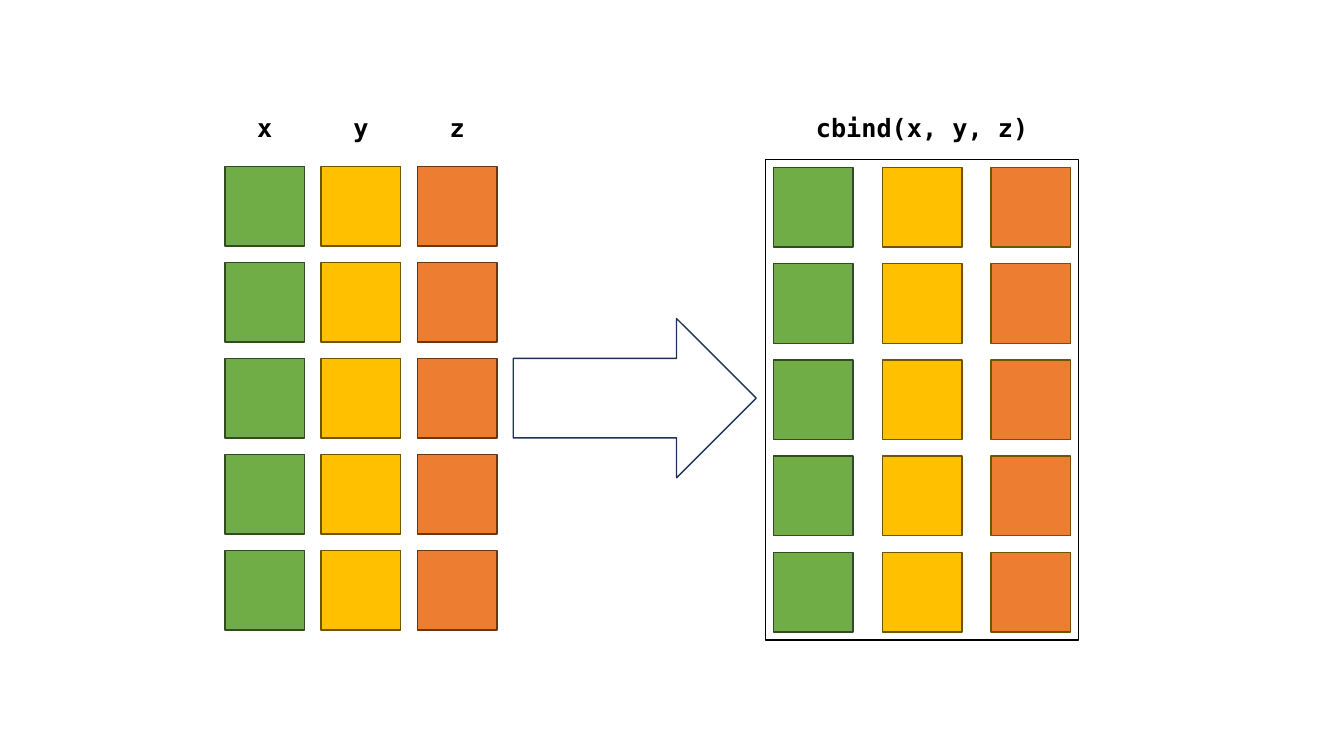
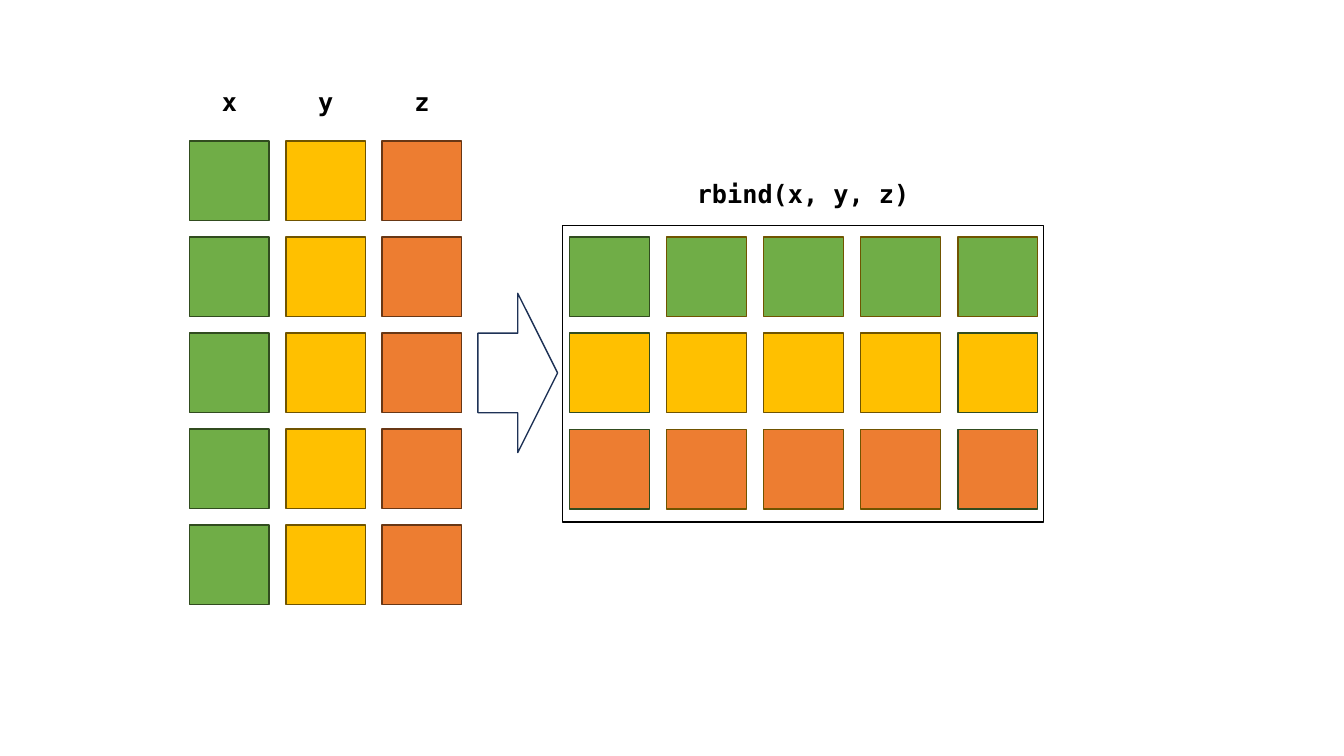
from dataclasses import dataclass

from pptx import Presentation
from pptx.dml.color import RGBColor
from pptx.enum.shapes import MSO_SHAPE as Shape
from pptx.enum.text import MSO_ANCHOR as Anchor, PP_ALIGN as Align
from pptx.slide import Slide
from pptx.util import Inches, Pt

# Shared style
GREEN, GREEN_EDGE = RGBColor(0x70, 0xAD, 0x47), RGBColor(0x31, 0x4C, 0x1F)
GOLD, GOLD_EDGE = RGBColor(0xFF, 0xC0, 0x00), RGBColor(0x70, 0x54, 0x00)
ORANGE, ORANGE_EDGE = RGBColor(0xED, 0x7D, 0x31), RGBColor(0x68, 0x37, 0x15)
NAVY = RGBColor(0x1E, 0x32, 0x56)
BLACK = RGBColor(0x00, 0x00, 0x00)
WHITE = RGBColor(0xFF, 0xFF, 0xFF)
FONT = "DejaVu Sans Mono"
CELL = 0.79
LABEL_WIDTH, LABEL_HEIGHT = 0.27, 0.3
VECTOR_NAMES = ("x", "y", "z")
VECTOR_LENGTH = 5
VECTOR_FILLS = (GREEN, GOLD, ORANGE)
VECTOR_EDGES = (GREEN_EDGE, GOLD_EDGE, ORANGE_EDGE)

ColorRows = tuple[tuple[RGBColor, ...], ...]


@dataclass(frozen=True)
class Box:
    left: float
    top: float
    width: float
    height: float

    def lengths(self) -> tuple[Inches, ...]:
        return tuple(Inches(n) for n in (self.left, self.top, self.width, self.height))


@dataclass(frozen=True)
class Grid:
    box: Box
    fills: ColorRows
    edges: ColorRows


@dataclass(frozen=True)
class BindExample:
    title: str
    vectors: Box
    arrow_width: float
    frame: Box
    result: Grid


def add_block(shapes, kind: Shape, box: Box, fill: RGBColor | None, edge: RGBColor):
    block = shapes.add_shape(kind, *box.lengths())
    block.shadow.inherit = False
    if fill is None:
        block.fill.background()
    else:
        block.fill.solid()
        block.fill.fore_color.rgb = fill
    block.line.color.rgb = edge
    block.line.width = Pt(1)
    return block


def add_label(page: Slide, text: str, box: Box) -> None:
    frame = page.shapes.add_textbox(*box.lengths()).text_frame
    frame.word_wrap = True
    frame.vertical_anchor = Anchor.TOP
    frame.margin_left = frame.margin_right = frame.margin_top = frame.margin_bottom = 0
    frame.text = text
    para = frame.paragraphs[0]
    para.alignment = Align.CENTER
    font = para.runs[0].font
    font.name, font.size, font.bold = FONT, Pt(18), True
    font.color.rgb = BLACK


def add_grid(page: Slide, grid: Grid) -> None:
    """Spread square cells evenly so that they fill the grid's box."""
    cells = page.shapes.add_group_shape().shapes
    column_step = (grid.box.width - CELL) / (len(grid.fills[0]) - 1)
    row_step = (grid.box.height - CELL) / (len(grid.fills) - 1)
    for row, (fills, edges) in enumerate(zip(grid.fills, grid.edges)):
        for column, (fill, edge) in enumerate(zip(fills, edges)):
            box = Box(grid.box.left + column * column_step,
                      grid.box.top + row * row_step, CELL, CELL)
            add_block(cells, Shape.RECTANGLE, box, fill, edge)


def draw_example(page: Slide, example: BindExample) -> None:
    vectors, frame = example.vectors, example.frame

    # Vectors with their names
    step = (vectors.width - CELL) / (len(VECTOR_NAMES) - 1)
    for index, name in enumerate(VECTOR_NAMES):
        left = vectors.left + index * step + (CELL - LABEL_WIDTH) / 2
        add_label(page, name, Box(left, vectors.top - 0.54, LABEL_WIDTH, LABEL_HEIGHT))
    add_grid(page, Grid(vectors, (VECTOR_FILLS,) * VECTOR_LENGTH,
                        (VECTOR_EDGES,) * VECTOR_LENGTH))

    # Arrow to the result
    arrow_box = Box(vectors.left + vectors.width + 0.16, vectors.top + 1.51,
                    example.arrow_width, 2 * CELL)
    arrow = add_block(page.shapes, Shape.RIGHT_ARROW, arrow_box, WHITE, NAVY)
    arrow.adjustments[0], arrow.adjustments[1] = 0.5, 0.5

    # Framed matrix with its call
    add_grid(page, example.result)
    add_label(page, example.title, Box(frame.left, frame.top - 0.47, frame.width, LABEL_HEIGHT))
    add_block(page.shapes, Shape.RECTANGLE, frame, None, BLACK)


CBIND = BindExample(
    title="cbind(x, y, z)",
    vectors=Box(2.23, 1.65, 2.7, 4.6),
    arrow_width=2.41,
    frame=Box(7.59, 1.58, 3.11, 4.77),
    result=Grid(
        Box(7.67, 1.66, 2.95, 4.61),
        (VECTOR_FILLS,) * VECTOR_LENGTH,
        ((GREEN_EDGE, GOLD_EDGE, GOLD_EDGE),) * VECTOR_LENGTH,
    ),
)
RBIND = BindExample(
    title="rbind(x, y, z)",
    vectors=Box(1.88, 1.4, 2.7, 4.6),
    arrow_width=CELL,
    frame=Box(5.58, 2.24, 4.77, 2.94),
    result=Grid(
        Box(5.65, 2.35, 4.64, 2.7),
        tuple((fill,) * VECTOR_LENGTH for fill in VECTOR_FILLS),
        tuple((GREEN_EDGE, *(GOLD_EDGE,) * 3, last)
              for last in (GOLD_EDGE, GREEN_EDGE, GREEN_EDGE)),
    ),
)


def main() -> None:
    deck = Presentation()
    deck.slide_width, deck.slide_height = Inches(13.33), Inches(7.5)
    for example in (CBIND, RBIND):
        draw_example(deck.slides.add_slide(deck.slide_layouts[6]), example)
    deck.save("out.pptx")


if __name__ == "__main__":
    main()
